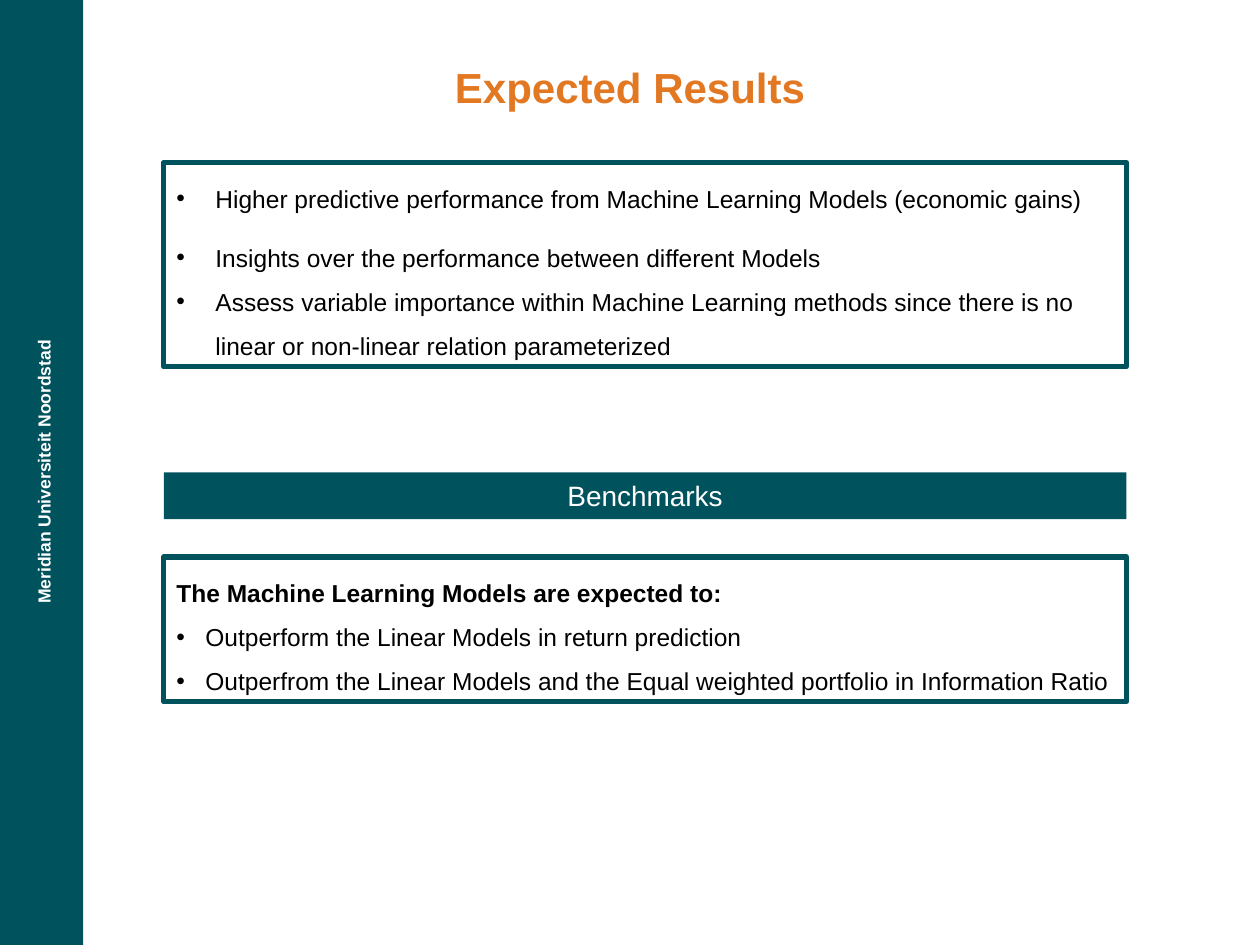
from lxml.etree import SubElement
from pptx import Presentation
from pptx.dml.color import RGBColor
from pptx.enum.shapes import MSO_SHAPE
from pptx.enum.text import MSO_ANCHOR, MSO_AUTO_SIZE, PP_ALIGN
from pptx.oxml.ns import qn
from pptx.util import Inches, Pt

COLORS = {
    name: RGBColor.from_string(value)
    for name, value in {
        "teal": "00535D",
        "orange": "E37823",
        "black": "000000",
        "white": "FFFFFF",
    }.items()
}
BOX_LEFT, BOX_WIDTH = 1.3, 7.64


def place(shape, left, top, width, height, anchor=MSO_ANCHOR.TOP):
    """Position a shape and give its text frame the common settings."""
    shape.left, shape.top = Inches(left), Inches(top)
    shape.width, shape.height = Inches(width), Inches(height)
    text_frame = shape.text_frame
    text_frame.word_wrap = True
    text_frame.auto_size = MSO_AUTO_SIZE.NONE
    text_frame.vertical_anchor = anchor


def style(paragraph, size, color, bold=False, align=PP_ALIGN.CENTER, spacing=1.0):
    paragraph.alignment = align
    paragraph.line_spacing = spacing
    paragraph.space_before = paragraph.space_after = Pt(0)
    for run in paragraph.runs:
        run.font.name = "Arial"
        run.font.size = Pt(size)
        run.font.bold = bold
        run.font.color.rgb = COLORS[color]


presentation = Presentation()
presentation.slide_width = Inches(10)
presentation.slide_height = Inches(7.5)
slide = presentation.slides.add_slide(presentation.slide_layouts[3])  # Two Content
title, results_box, expectations_box = slide.placeholders

# Side bar with the rotated university name
side_bar = slide.shapes.add_shape(MSO_SHAPE.RECTANGLE, 0, 0, Inches(0.66), Inches(7.5))
side_name = slide.shapes.add_textbox(0, 0, 0, 0)
place(side_name, -1.03, 3.61, 2.76, 0.27)
side_name.rotation = 270
side_name.text_frame.text = "Meridian Universiteit Noordstad"
style(side_name.text_frame.paragraphs[0], 10, "white", bold=True)

# Title
place(title, 1, 0.44, 8, 0.5)
title.text_frame.text = "Expected Results"
style(title.text_frame.paragraphs[0], 24, "orange", bold=True)

# Benchmarks banner
banner = slide.shapes.add_shape(MSO_SHAPE.RECTANGLE, 0, 0, 0, 0)
place(banner, BOX_LEFT, 3.75, BOX_WIDTH, 0.37)
banner.text_frame.text = "Benchmarks"
style(banner.text_frame.paragraphs[0], 16, "white")

for shape in (side_bar, banner):
    shape.shadow.inherit = False
    shape.fill.solid()
    shape.fill.fore_color.rgb = COLORS["teal"]
    shape.line.fill.background()

# Framed lists: box, top, height, bullet indent, (text, line spacing, is heading)
framed_lists = [
    (results_box, 1.29, 1.62, 0.31, [
        ("Higher predictive performance from Machine Learning Models (economic gains)", 1.5, False),
        ("Insights over the performance between different Models", 2.0, False),
        ("Assess variable importance within Machine Learning methods since there is no "
         "linear or non-linear relation parameterized", 1.5, False),
    ]),
    (expectations_box, 4.42, 1.15, 0.23, [
        ("The Machine Learning Models are expected to:", 1.5, True),
        ("Outperform the Linear Models in return prediction", 1.5, False),
        ("Outperfrom the Linear Models and the Equal weighted portfolio in Information Ratio", 1.5, False),
    ]),
]
for box, top, height, indent, items in framed_lists:
    place(box, BOX_LEFT, top, BOX_WIDTH, height, MSO_ANCHOR.MIDDLE)
    box.line.color.rgb = COLORS["teal"]
    box.line.width = Pt(3)
    box.text_frame.text = "\n".join(text for text, _, _ in items)
    for paragraph, (_, spacing, is_heading) in zip(box.text_frame.paragraphs, items):
        style(paragraph, 14, "black", is_heading, PP_ALIGN.LEFT, spacing)
        properties = paragraph._p.get_or_add_pPr()
        hanging = 0 if is_heading else Inches(indent)
        properties.set("marL", str(hanging))
        properties.set("indent", str(-hanging))
        if is_heading:
            SubElement(properties, qn("a:buNone"))
        else:
            SubElement(properties, qn("a:buFont"), typeface="Arial")
            SubElement(properties, qn("a:buChar"), char="•")

presentation.save("out.pptx")
